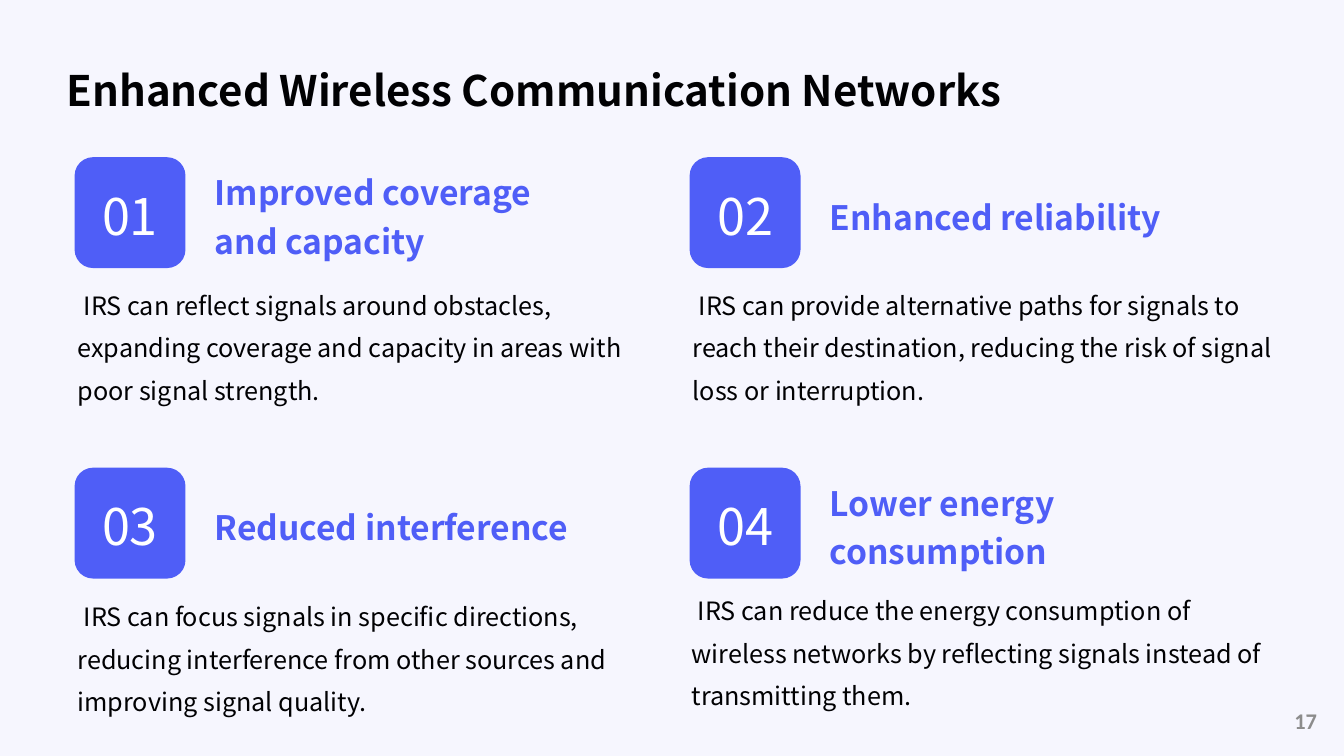
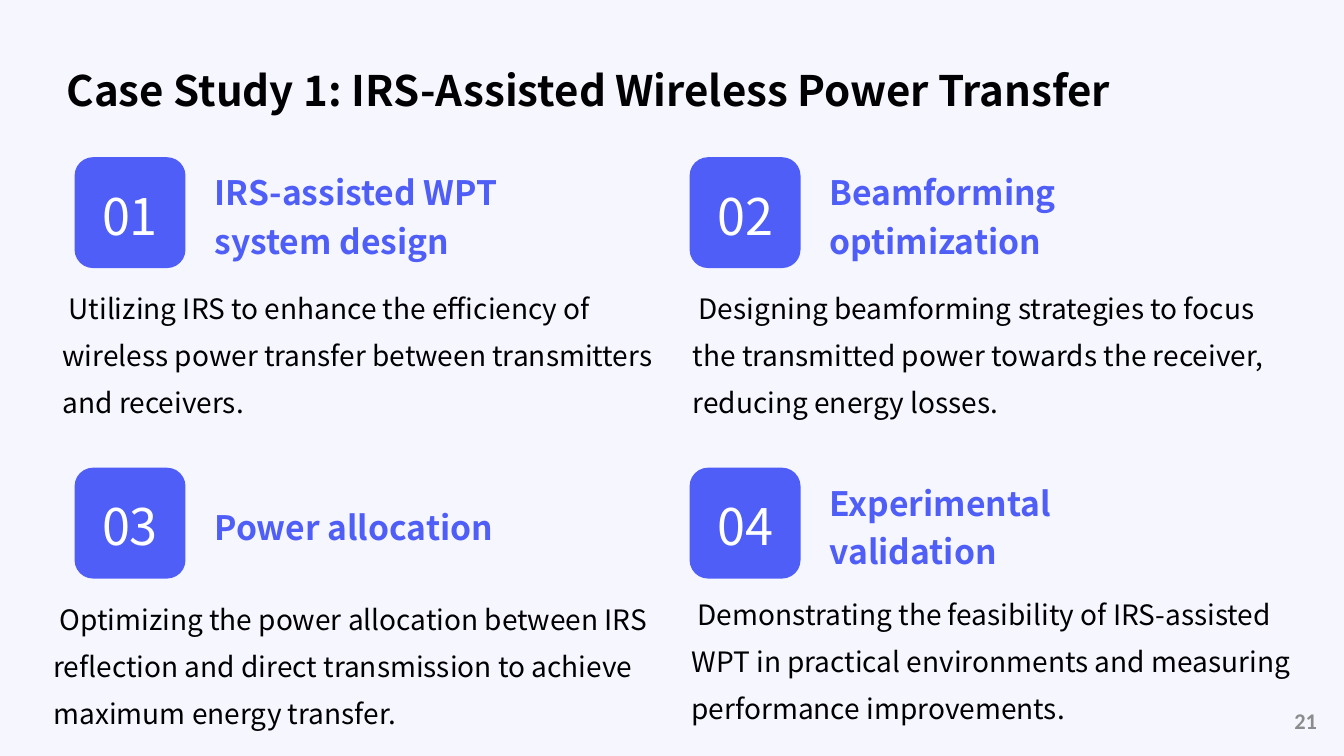
from pptx import Presentation
from pptx import util as u
from pptx.dml.color import RGBColor
from pptx.enum import shapes, text

PX = 9144  # 100 px to the inch
HUE = {"back": "F6F6FE", "ink": "010103", "blue": "4F5EF7",
       "white": "FFFFFF", "gray": "8C8C8C"}
SANS = "Noto Sans CJK SC"
MID, TOP = text.MSO_ANCHOR.MIDDLE, text.MSO_ANCHOR.TOP
LEFT, MEAN, RIGHT = (text.PP_ALIGN.LEFT, text.PP_ALIGN.CENTER,
                     text.PP_ALIGN.RIGHT)


def px(*vals):
    return [u.Emu(v * PX) for v in vals]


def rgb(name):
    return RGBColor.from_string(HUE[name])


def write(shape, words, size, hue, bold=False, face=SANS, align=LEFT,
          anchor=MID, line=1.0, pad=(10, 5, 10, 5), first=0):
    """Fill a shape with one styled paragraph."""
    frame = shape.text_frame
    frame.word_wrap = True
    frame.vertical_anchor = anchor
    (frame.margin_left, frame.margin_top,
     frame.margin_right, frame.margin_bottom) = px(*pad)
    para = frame.paragraphs[0]
    para.text = words
    para.alignment, para.line_spacing = align, line
    if first:
        props = para._p.get_or_add_pPr()
        props.set("marL", "0")
        props.set("indent", str(first * PX))
    font = para.runs[0].font
    font.name, font.size, font.bold = face, u.Pt(size), bold
    font.color.rgb = rgb(hue)


def label(slide, box, words, size, hue, **style):
    write(slide.shapes.add_textbox(*px(*box)), words, size, hue, **style)


def badge(slide, x, y, num):
    """Rounded square with a two-digit number."""
    tile = slide.shapes.add_shape(shapes.MSO_SHAPE.ROUNDED_RECTANGLE,
                                  *px(x, y, 110, 110))
    tile.shadow.inherit = False
    tile.fill.solid()
    tile.fill.fore_color.rgb = rgb("blue")
    tile.line.fill.background()
    write(tile, f"{num:02}", 36, "white", align=MEAN, anchor=TOP,
          pad=(0, 22, 0, 0))


def point(slide, x, y, num, size, item):
    """Badge, heading and body of one point."""
    head, body, dx, dy, wide = item
    badge(slide, x, y, num)
    label(slide, (x + 129, y, 388, 110), head, 24, "blue", bold=True, line=1.2)
    label(slide, (x + dx, y + dy, wide, 109), body, size, "ink", anchor=TOP,
          line=1.4, pad=(0, 0, 0, 0), first=6)


def page(deck, title, num, size, items):
    """Title, a two-by-two grid of points and the page number."""
    slide = deck.slides.add_slide(deck.slide_layouts[6])
    slide.background.fill.solid()
    slide.background.fill.fore_color.rgb = rgb("back")
    label(slide, (52, 29, 1229, 100), title, 30, "ink", bold=True, line=1.4,
          pad=(14, 14, 6, 14))
    for i, item in enumerate(items):
        row, col = divmod(i, 2)
        point(slide, 74 + 610 * col, 156 + 308 * row, i + 1, size, item)
    label(slide, (1083, 695, 233, 40), str(num), 16, "gray", bold=True,
          face="Calibri", align=RIGHT)


# Each point: heading, body, body offset x and y, body width
GAINS = [
    ("Improved coverage and capacity",
     "IRS can reflect signals around obstacles, expanding coverage and "
     "capacity in areas with poor signal strength.", 3, 120, 570),
    ("Enhanced reliability",
     "IRS can provide alternative paths for signals to reach their "
     "destination, reducing the risk of signal loss or interruption.",
     3, 120, 605),
    ("Reduced interference",
     "IRS can focus signals in specific directions, reducing interference "
     "from other sources and improving signal quality.", 3, 121, 557),
    ("Lower energy consumption",
     "IRS can reduce the energy consumption of wireless networks by "
     "reflecting signals instead of transmitting them.", 2, 115, 595),
]
STUDY = [
    ("IRS-assisted WPT system design",
     "Utilizing IRS to enhance the efficiency of wireless power transfer "
     "between transmitters and receivers.", -12, 120, 605),
    ("Beamforming optimization",
     "Designing beamforming strategies to focus the transmitted power "
     "towards the receiver, reducing energy losses.", 3, 120, 605),
    ("Power allocation",
     "Optimizing the power allocation between IRS reflection and direct "
     "transmission to achieve maximum energy transfer.", -21, 120, 623),
    ("Experimental validation",
     "Demonstrating the feasibility of IRS-assisted WPT in practical "
     "environments and measuring performance improvements.", 2, 115, 630),
]


def main():
    deck = Presentation()
    deck.slide_width, deck.slide_height = px(1333, 750)
    page(deck, "Enhanced Wireless Communication Networks", 17, 18, GAINS)
    page(deck, "Case Study 1: IRS-Assisted Wireless Power Transfer", 21, 20,
         STUDY)
    deck.save("out.pptx")


if __name__ == "__main__":
    main()
